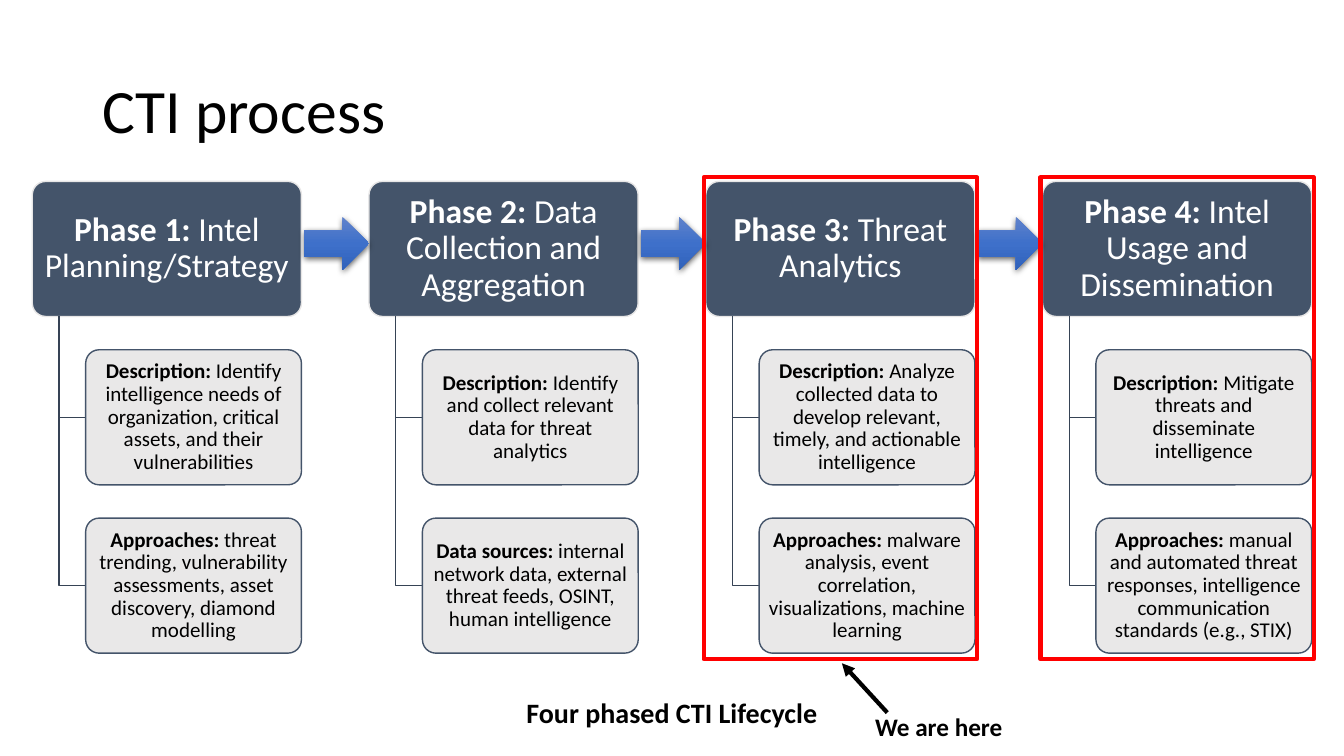
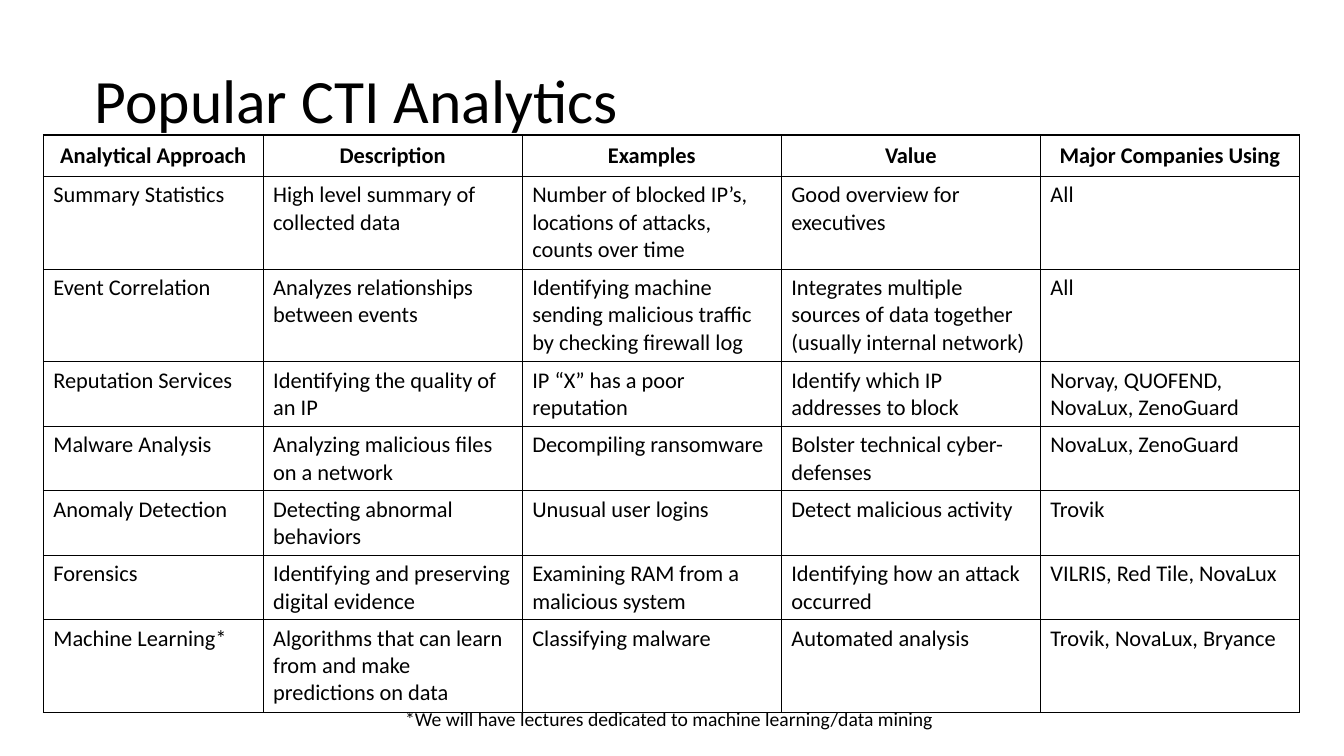
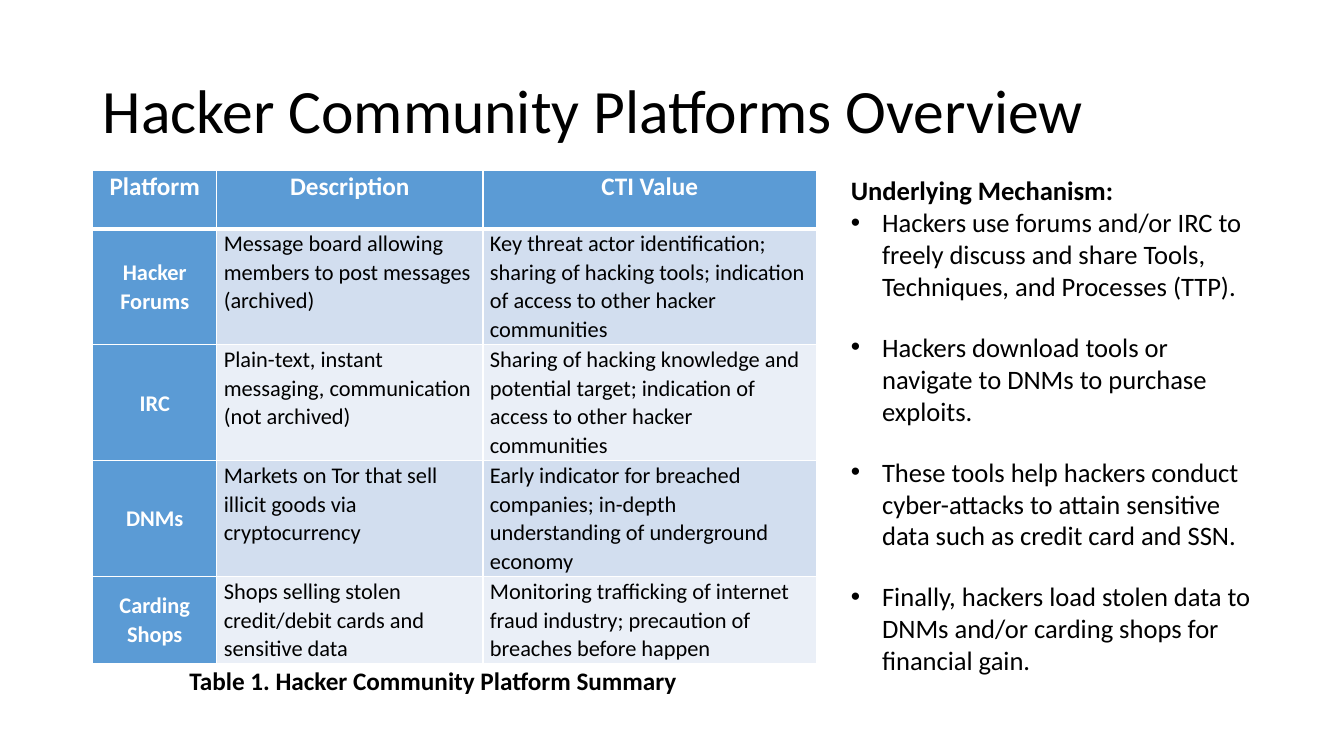
from lxml import etree
from pptx import Presentation
from pptx.dml.color import RGBColor
from pptx.enum.shapes import MSO_CONNECTOR, MSO_SHAPE
from pptx.enum.text import MSO_ANCHOR, PP_ALIGN
from pptx.oxml.ns import qn
from pptx.util import Inches, Pt

ROUNDED, ARROW, RECTANGLE = MSO_SHAPE.ROUNDED_RECTANGLE, MSO_SHAPE.RIGHT_ARROW, MSO_SHAPE.RECTANGLE
STRAIGHT = MSO_CONNECTOR.STRAIGHT
TOP, MIDDLE = MSO_ANCHOR.TOP, MSO_ANCHOR.MIDDLE
LEFT, CENTER = PP_ALIGN.LEFT, PP_ALIGN.CENTER
FONT = "Calibri"
COLORS = {
    "ink": "000000", "white": "FFFFFF", "phase": "44546A", "detail": "E7E6E6",
    "branch": "364355", "highlight": "FF0000", "header": "5B9BD5",
    "band_dark": "D2DEEF", "band_light": "EAEFF7",
    "arrow_top": "6183CB", "arrow_middle": "3E70CA", "arrow_bottom": "3062BB",
}

PHASES = [
    (("Phase 1: ", "Intel Planning/Strategy"), [
        ("Description:", " Identify intelligence needs of organization, critical assets, and their vulnerabilities"),
        ("Approaches:", " threat trending, vulnerability assessments, asset discovery, diamond modelling")]),
    (("Phase 2: ", "Data Collection and Aggregation"), [
        ("Description:", " Identify and collect relevant data for threat analytics"),
        ("Data sources:", " internal network data, external threat feeds, OSINT, human intelligence")]),
    (("Phase 3: ", "Threat Analytics"), [
        ("Description:", " Analyze collected data to develop relevant, timely, and actionable intelligence"),
        ("Approaches:", " malware analysis, event correlation, visualizations, machine learning")]),
    (("Phase 4: ", "Intel Usage and Dissemination"), [
        ("Description:", " Mitigate threats and disseminate intelligence"),
        ("Approaches:", " manual and automated threat responses, intelligence communication standards (e.g., STIX)")]),
]

ANALYTICS = [
    ("Analytical Approach", "Description", "Examples", "Value", "Major Companies Using"),
    ("Summary Statistics", "High level summary of collected data",
     "Number of blocked IP’s, locations of attacks, counts over time",
     "Good overview for executives", "All"),
    ("Event Correlation", "Analyzes relationships between events",
     "Identifying machine sending malicious traffic by checking firewall log",
     "Integrates multiple sources of data together (usually internal network)", "All"),
    ("Reputation Services", "Identifying the quality of an IP", "IP “X” has a poor reputation",
     "Identify which IP addresses to block", "Norvay, QUOFEND, NovaLux, ZenoGuard"),
    ("Malware Analysis", "Analyzing malicious files on a network", "Decompiling ransomware",
     "Bolster technical cyber-defenses", "NovaLux, ZenoGuard"),
    ("Anomaly Detection", "Detecting abnormal behaviors", "Unusual user logins",
     "Detect malicious activity", "Trovik"),
    ("Forensics", "Identifying and preserving digital evidence",
     "Examining RAM from a malicious system", "Identifying how an attack occurred",
     "VILRIS, Red Tile, NovaLux"),
    ("Machine Learning*", "Algorithms that can learn from and make predictions on data",
     "Classifying malware", "Automated analysis", "Trovik, NovaLux, Bryance"),
]

PLATFORMS = [
    ("Platform", "Description", "CTI Value"),
    ("Hacker Forums", "Message board allowing members to post messages (archived)",
     "Key threat actor identification; sharing of hacking tools; indication of access to other hacker communities"),
    ("IRC", "Plain-text, instant messaging, communication (not archived)",
     "Sharing of hacking knowledge and potential target; indication of access to other hacker communities"),
    ("DNMs", "Markets on Tor that sell illicit goods via cryptocurrency",
     "Early indicator for breached companies; in-depth understanding of underground economy"),
    ("Carding Shops", "Shops selling stolen credit/debit cards and sensitive data",
     "Monitoring trafficking of internet fraud industry; precaution of breaches before happen"),
]

MECHANISM = [
    "Hackers use forums and/or IRC to freely discuss and share Tools, Techniques, and Processes (TTP).",
    "Hackers download tools or navigate to DNMs to purchase exploits.",
    "These tools help hackers conduct cyber-attacks to attain sensitive data such as credit card and SSN.",
    "Finally, hackers load stolen data to DNMs and/or carding shops for financial gain.",
]


def rgb(name):
    """Return a palette colour."""
    return RGBColor.from_string(COLORS[name])


def add_xml(parent, tag, **attributes):
    """Append a DrawingML element and return it."""
    return etree.SubElement(parent, qn(tag), {key: str(value) for key, value in attributes.items()})


def add_color(parent, name, alpha=None):
    """Append a colour element, optionally translucent."""
    color = add_xml(parent, "a:srgbClr", val=COLORS[name])
    if alpha is not None:
        add_xml(color, "a:alpha", val=alpha * 1000)


def add_run(paragraph, text, size, color="ink", bold=False):
    """Append one styled run."""
    run = paragraph.add_run()
    run.text = text
    run.font.name, run.font.size, run.font.bold = FONT, Pt(size), bold
    run.font.color.rgb = rgb(color)


def add_label(slide, box, text, size, bold=False, align=LEFT, anchor=TOP, spacing=None, wrap=True):
    """Place a one-paragraph text box."""
    frame = slide.shapes.add_textbox(*map(Inches, box)).text_frame
    frame.word_wrap, frame.vertical_anchor = wrap, anchor
    paragraph = frame.paragraphs[0]
    paragraph.alignment, paragraph.line_spacing = align, spacing
    add_run(paragraph, text, size, bold=bold)


def add_titled_slide(deck, title, left=0.92, top=0.4):
    """Add a blank slide with the shared title style."""
    slide = deck.slides.add_slide(deck.slide_layouts[6])
    add_label(slide, (left, top, 11.5, 1.45), title, 44, anchor=MIDDLE, spacing=0.9)
    return slide


def add_shape(slide, kind, box, line=None, width=1):
    """Place an unshadowed preset shape with the given outline."""
    shape = slide.shapes.add_shape(kind, *map(Inches, box))
    shape.shadow.inherit = False
    if line:
        shape.line.color.rgb, shape.line.width = rgb(line), Pt(width)
    else:
        shape.line.fill.background()
    return shape


def add_card(slide, box, parts, size, fill, line, color, inset, alpha=None):
    """Place a rounded card with a bold lead and plain text."""
    card = add_shape(slide, ROUNDED, box, line)
    card.adjustments[0] = 0.1
    card.fill.solid()
    card.fill.fore_color.rgb = rgb(fill)
    if alpha is not None:
        swatch = card._element.spPr.find(qn("a:solidFill")).find(qn("a:srgbClr"))
        add_xml(swatch, "a:alpha", val=alpha * 1000)
    frame = card.text_frame
    frame.word_wrap, frame.vertical_anchor = True, MIDDLE
    frame.margin_left = frame.margin_right = Inches(inset)
    frame.margin_top = frame.margin_bottom = Inches(0.02)
    paragraph = frame.paragraphs[0]
    paragraph.alignment, paragraph.line_spacing = CENTER, 0.9
    for index, text in enumerate(parts):
        add_run(paragraph, text, size, color, bold=index == 0)


def add_branch(slide, left, top, width, height):
    """Draw an elbow from a phase down to a detail card."""
    outline = slide.shapes.build_freeform(Inches(left), Inches(top))
    outline.add_line_segments(
        [(Inches(left), Inches(top + height)), (Inches(left + width), Inches(top + height))], close=False)
    branch = outline.convert_to_shape()
    branch.shadow.inherit = False
    branch.fill.background()
    branch.line.color.rgb, branch.line.width = rgb("branch"), Pt(1)


def add_phase(slide, left, top, heading, details):
    """Draw a phase heading with its detail cards below."""
    height, pitch, indent, width = 1.34, 1.67, 0.53, 2.67
    add_card(slide, (left, top, width, height), heading, 24, "phase", "detail", "white", 0.05)
    for index, detail in enumerate(details, 1):
        add_branch(slide, left + indent / 2, top + height, indent / 2, index * pitch - height / 2)
        add_card(slide, (left + indent, top + index * pitch, width - indent, height),
                 detail, 15, "detail", "phase", "ink", 0.03, alpha=90)


def add_phase_arrow(slide, left, top):
    """Draw a shaded arrow between two phases."""
    arrow = add_shape(slide, ARROW, (left, top, 0.64, 0.53))
    arrow.fill.gradient()
    arrow.fill.gradient_angle = 270
    properties = arrow._element.spPr
    stops = properties.find(qn("a:gradFill")).find(qn("a:gsLst"))
    stops.clear()
    for position, name in ((0, "arrow_top"), (50, "arrow_middle"), (100, "arrow_bottom")):
        add_color(add_xml(stops, "a:gs", pos=position * 1000), name)
    shadow = add_xml(properties.find(qn("a:effectLst")), "a:outerShdw", blurRad=Pt(4.5),
                     dist=Pt(1.5), dir=5400000, algn="ctr", rotWithShape=0)
    add_color(shadow, "ink", 63)


def add_pointer(slide, start, end):
    """Draw a heavy line with an arrowhead at its end."""
    pointer = slide.shapes.add_connector(STRAIGHT, *map(Inches, start + end))
    pointer.line.color.rgb, pointer.line.width = rgb("ink"), Pt(3)
    add_xml(pointer.line._get_or_add_ln(), "a:tailEnd", type="triangle")
    add_xml(pointer._element.spPr, "a:effectLst")


def style_cell(cell, text, size, color="ink", bold=False, align=LEFT, anchor=TOP,
               fill=None, border="ink", widths=(1, 1, 1, 1), spacing=None):
    """Write one table cell with its borders and fill."""
    properties = cell._tc.get_or_add_tcPr()
    for side, width in zip("LRTB", widths):
        edge = add_xml(properties, f"a:ln{side}", w=Pt(width))
        add_color(add_xml(edge, "a:solidFill"), border)
    if fill:
        cell.fill.solid()
        cell.fill.fore_color.rgb = rgb(fill)
    else:
        cell.fill.background()
    cell.vertical_anchor = anchor
    paragraph = cell.text_frame.paragraphs[0]
    paragraph.alignment, paragraph.line_spacing = align, spacing
    add_run(paragraph, text, size, color, bold)


def add_grid(slide, left, top, widths, heights):
    """Add a plain table with the given column widths and row heights."""
    table = slide.shapes.add_table(len(heights), len(widths), Inches(left), Inches(top),
                                   Inches(sum(widths)), Inches(sum(heights))).table
    table.first_row = table.horz_banding = False
    for column, width in zip(table.columns, widths):
        column.width = Inches(width)
    for row, height in zip(table.rows, heights):
        row.height = Inches(height)
    return table


def add_analytics_table(slide, left, top):
    """Fill the ruled table of analytical approaches."""
    table = add_grid(slide, left, top, [2.18] + [2.57] * 4, [0.41] + [0.92] * 2 + [0.64] * 4 + [0.92])
    for row, texts in enumerate(ANALYTICS):
        look = {"bold": True, "align": CENTER, "anchor": MIDDLE} if row == 0 else {}
        for column, text in enumerate(texts):
            style_cell(table.cell(row, column), text, 16, **look)


def add_platform_table(slide, left, top):
    """Fill the banded table of hacker platforms."""
    table = add_grid(slide, left, top, [1.23, 2.64, 3.31], [0.58] + [1.15] * 3 + [0.86])
    for row, texts in enumerate(PLATFORMS):
        for column, text in enumerate(texts):
            cell = table.cell(row, column)
            cell.margin_left = cell.margin_right = Inches(0.07)
            cell.margin_top = cell.margin_bottom = 0
            if row == 0 or column == 0:
                look = {"color": "white", "bold": True, "align": CENTER, "fill": "header"}
            else:
                look = {"fill": "band_dark" if row % 2 else "band_light"}
            style_cell(cell, text, 16 if row else 18, border="white", spacing=1.05,
                       anchor=MIDDLE if row and column == 0 else TOP,
                       widths=(1, 1, 3 if row == 1 else 1, 1 if row else 3), **look)


def add_mechanism(slide, box):
    """Write the heading and bullets on the underlying mechanism."""
    frame = slide.shapes.add_textbox(*map(Inches, box)).text_frame
    frame.word_wrap = True
    add_run(frame.paragraphs[0], "Underlying Mechanism:", 19, bold=True)
    for index, text in enumerate(MECHANISM):
        paragraph = frame.add_paragraph()
        properties = paragraph._p.get_or_add_pPr()
        properties.set("marL", str(Inches(0.31)))
        properties.set("indent", str(-Inches(0.31)))
        add_xml(properties, "a:buFont", typeface="Arial")
        add_xml(properties, "a:buChar", char="•")
        paragraph.space_before = Pt(20.7 if index else 0)
        add_run(paragraph, text, 19)


def build_process(deck):
    """Build the slide on the four phases."""
    slide = add_titled_slide(deck, "CTI process")
    left, top, pitch = 0.32, 1.8, 3.34
    lefts = [left + index * pitch for index in range(len(PHASES))]
    for phase_left, (heading, details) in zip(lefts, PHASES):
        add_phase(slide, phase_left, top, heading, details)
    add_label(slide, (4.53, 6.85, 4.27, 0.44), "Four phased CTI Lifecycle", 20, True, CENTER)
    for phase_left in lefts[:-1]:
        add_phase_arrow(slide, phase_left + 2.7, top + 0.35)
    for phase_left in lefts[2:]:
        highlight = add_shape(slide, RECTANGLE, (phase_left - 0.02, top - 0.04, 2.71, 4.78), "highlight", 3)
        highlight.fill.background()
    add_label(slide, (8.58, 7.01, 1.48, 0.4), "We are here", 18, True, wrap=False)
    add_pointer(slide, (8.8, 7.07), (8.35, 6.58))


def build_analytics(deck):
    """Build the slide on popular analytics."""
    slide = add_titled_slide(deck, "Popular CTI Analytics", 0.84, 0.3)
    add_analytics_table(slide, 0.43, 1.34)
    add_label(slide, (3.92, 6.96, 5.49, 0.34),
              "*We will have lectures dedicated to machine learning/data mining", 14, wrap=False)


def build_platforms(deck):
    """Build the slide on hacker community platforms."""
    slide = add_titled_slide(deck, "Hacker Community Platforms Overview")
    add_platform_table(slide, 0.92, 1.69)
    add_mechanism(slide, (8.34, 1.68, 4.18, 5.17))
    add_label(slide, (1.78, 6.55, 5.75, 0.4), "Table 1. Hacker Community Platform Summary", 18, True)


def main():
    """Build and save the deck."""
    deck = Presentation()
    deck.slide_width, deck.slide_height = Inches(13.33), Inches(7.5)
    for build in (build_process, build_analytics, build_platforms):
        build(deck)
    deck.save("out.pptx")


if __name__ == "__main__":
    main()
